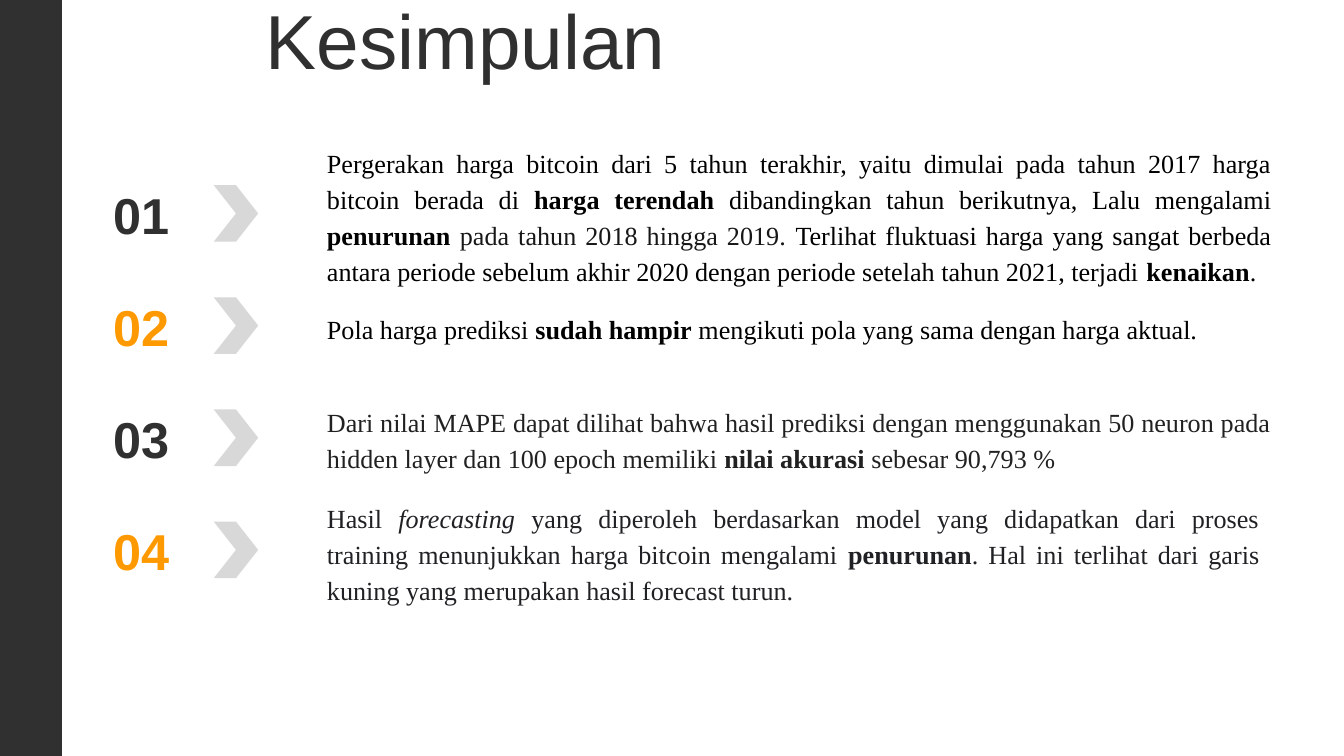
"""Build the conclusion slide: four numbered findings beside a dark sidebar."""
from pptx import Presentation
from pptx.dml.color import RGBColor
from pptx.enum.shapes import MSO_SHAPE
from pptx.enum.text import MSO_ANCHOR, MSO_AUTO_SIZE, PP_ALIGN
from pptx.util import Cm, Pt

RECTANGLE, CHEVRON = MSO_SHAPE.RECTANGLE, MSO_SHAPE.CHEVRON
LEFT, CENTER, JUSTIFY = PP_ALIGN.LEFT, PP_ALIGN.CENTER, PP_ALIGN.JUSTIFY
MIDDLE, TOP = MSO_ANCHOR.MIDDLE, MSO_ANCHOR.TOP
NO_AUTOFIT = MSO_AUTO_SIZE.NONE

CHARCOAL = RGBColor(0x30, 0x30, 0x30)
ORANGE = RGBColor(0xFE, 0x99, 0x00)
SILVER = RGBColor(0xD8, 0xD8, 0xD8)
BLACK = RGBColor(0, 0, 0)
INK = RGBColor(0x17, 0x17, 0x17)
GRAPHITE = RGBColor(0x21, 0x21, 0x21)
SLATE = RGBColor(0x20, 0x21, 0x24)

FIRST_NUMBER_TOP = 3.38
FIRST_CHEVRON_TOP = 3.5
ROW_PITCH = 2.12

FINDINGS = [
    (2.59, 18.24, 2.95, BLACK, [
        ("Pergerakan harga bitcoin dari 5 tahun terakhir, yaitu dimulai pada tahun 2017 "
         "harga bitcoin berada di ", {}),
        ("harga terendah", {"bold": True}),
        (" dibandingkan tahun berikutnya, Lalu mengalami ", {}),
        ("penurunan ", {"bold": True}),
        ("pada tahun 2018 hingga 2019. ", {"color": INK}),
        ("Terlihat fluktuasi harga yang sangat berbeda antara periode sebelum akhir 2020 "
         "dengan periode setelah tahun 2021, terjadi ", {}),
        ("kenaikan", {"bold": True}),
        (".", {}),
    ]),
    (5.74, 18.31, 0.89, BLACK, [
        ("Pola harga prediksi ", {}),
        ("sudah hampir", {"bold": True}),
        (" mengikuti pola yang sama dengan harga aktual.", {}),
    ]),
    (7.49, 18.24, 1.57, GRAPHITE, [
        ("Dari nilai MAPE dapat dilihat bahwa hasil prediksi dengan menggunakan 50 neuron "
         "pada hidden layer dan 100 epoch memiliki ", {}),
        ("nilai akurasi", {"bold": True}),
        (" sebesar 90,793 %", {}),
    ]),
    (9.3, 18.01, 2.26, SLATE, [
        ("Hasil ", {}),
        ("forecasting", {"italic": True}),
        (" yang diperoleh berdasarkan model yang didapatkan dari proses training "
         "menunjukkan harga bitcoin mengalami ", {}),
        ("penurunan", {"bold": True}),
        (". Hal ini terlihat dari garis kuning yang merupakan hasil forecast turun.", {}),
    ]),
]


class SlideBuilder:
    """Hold the fonts and the current slide, and add its elements."""

    heading_font = "Arial"
    body_font = "Times New Roman"

    def __init__(self, slide):
        self.slide = slide

    def add_run(self, paragraph, text, font, size, color, bold=False, italic=False):
        run = paragraph.add_run()
        run.text = text
        run.font.name = font
        run.font.size = Pt(size)
        run.font.color.rgb = color
        run.font.bold = bold
        run.font.italic = italic

    def prepare(self, frame, alignment, spacing, anchor=TOP):
        frame.word_wrap = True
        frame.auto_size = NO_AUTOFIT
        frame.vertical_anchor = anchor
        frame.margin_left = frame.margin_right = Cm(0.19)
        frame.margin_top = frame.margin_bottom = Cm(0.1)
        paragraph = frame.paragraphs[0]
        paragraph.alignment = alignment
        paragraph.line_spacing = spacing
        return paragraph

    def title(self, text, left, top, width, height):
        heading = self.slide.shapes.title
        heading.left, heading.top = Cm(left), Cm(top)
        heading.width, heading.height = Cm(width), Cm(height)
        paragraph = self.prepare(heading.text_frame, LEFT, 0.9, MIDDLE)
        self.add_run(paragraph, text, self.heading_font, 41, CHARCOAL)

    def block(self, preset, left, top, width, height, color):
        block = self.slide.shapes.add_shape(
            preset, Cm(left), Cm(top), Cm(width), Cm(height))
        block.shadow.inherit = False
        block.fill.solid()
        block.fill.fore_color.rgb = color
        block.line.fill.background()

    def text_area(self, left, top, width, height, alignment, spacing):
        area = self.slide.shapes.add_textbox(Cm(left), Cm(top), Cm(width), Cm(height))
        return self.prepare(area.text_frame, alignment, spacing)

    def number(self, text, top, color):
        paragraph = self.text_area(1.83, top, 1.68, 1.35, CENTER, 1.0)
        self.add_run(paragraph, text, self.heading_font, 27, color, bold=True)

    def finding(self, top, width, height, color, passages):
        paragraph = self.text_area(5.99, top, width, height, JUSTIFY, 1.15)
        for text, emphasis in passages:
            style = {"color": color, **emphasis}
            self.add_run(paragraph, text, self.body_font, 14, **style)


def main():
    presentation = Presentation()
    presentation.slide_width = Cm(25.4)
    presentation.slide_height = Cm(14.29)
    builder = SlideBuilder(presentation.slides.add_slide(presentation.slide_layouts[5]))

    builder.block(RECTANGLE, 0, 0, 1.17, 14.29, CHARCOAL)
    builder.title("Kesimpulan", 4.83, 0.1, 19.94, 1.5)
    for row, finding in enumerate(FINDINGS):
        offset = row * ROW_PITCH
        number_color = ORANGE if row % 2 else CHARCOAL
        builder.number(f"{row + 1:02}", FIRST_NUMBER_TOP + offset, number_color)
        builder.block(CHEVRON, 4.04, FIRST_CHEVRON_TOP + offset, 0.84, 1.07, SILVER)
        builder.finding(*finding)

    presentation.save("out.pptx")


if __name__ == "__main__":
    main()
